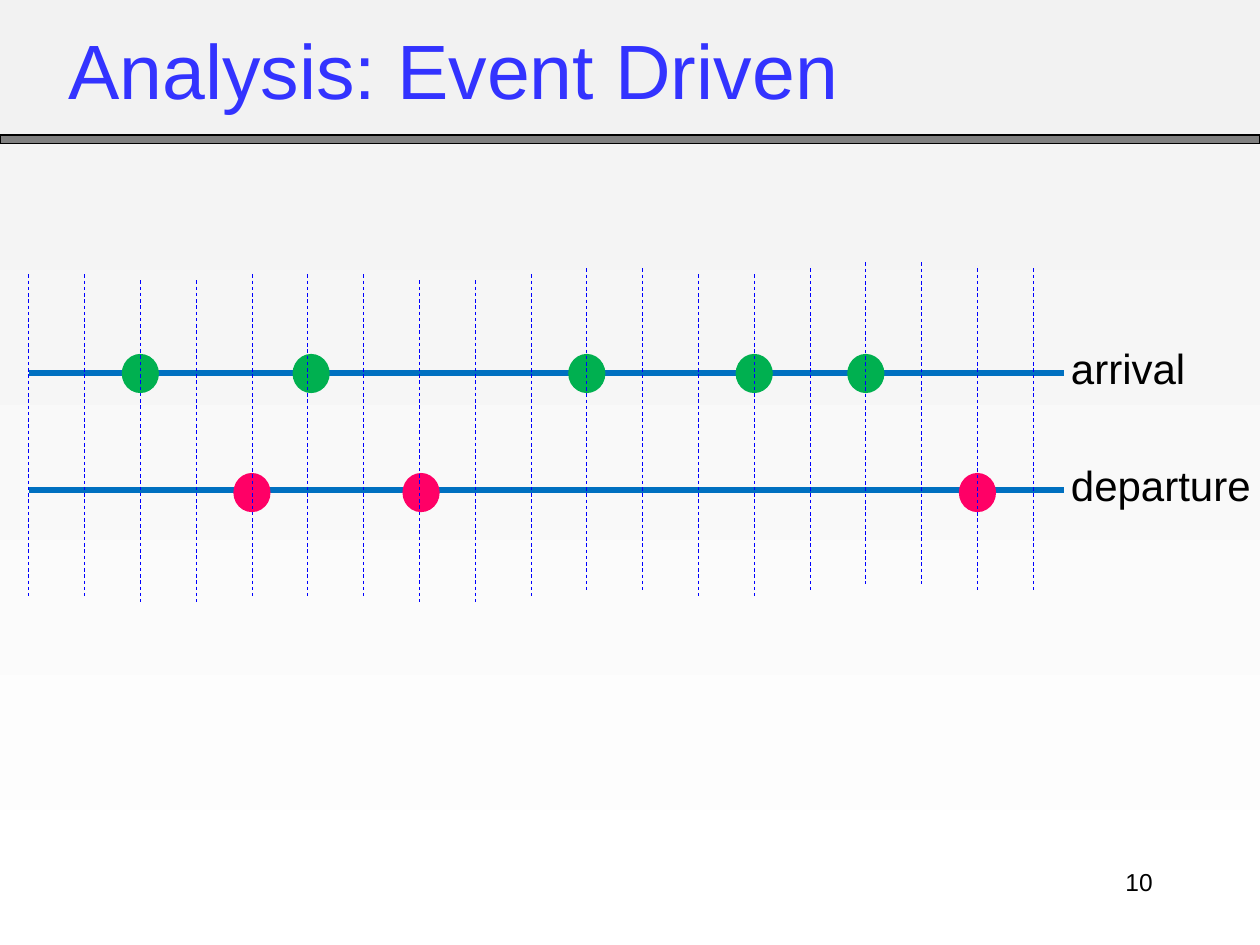
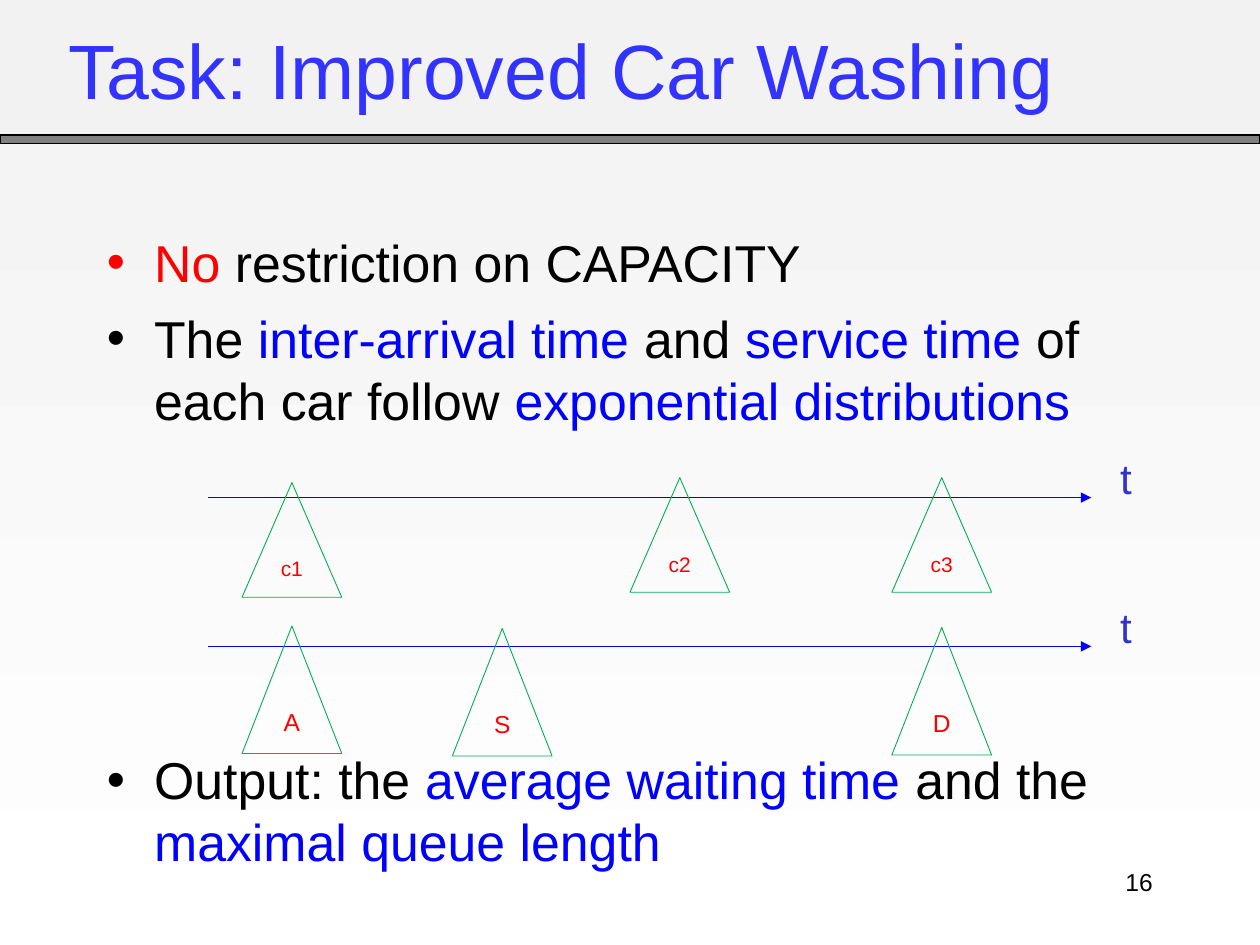
from dataclasses import dataclass
from typing import NamedTuple

from lxml.etree import SubElement
from pptx import Presentation
from pptx.dml.color import RGBColor
from pptx.enum.dml import MSO_LINE_DASH_STYLE as Dash
from pptx.enum.shapes import MSO_CONNECTOR as Connector, MSO_SHAPE as Preset
from pptx.enum.text import MSO_ANCHOR as Anchor, MSO_AUTO_SIZE as AutoSize, PP_ALIGN as Align
from pptx.oxml.ns import qn
from pptx.shapes.autoshape import Shape
from pptx.shapes.connector import Connector as Line
from pptx.slide import Slide
from pptx.util import Cm, Pt


@dataclass(frozen=True)
class Theme:
    font: str = "Arial"
    title: str = "3333FF"
    text: str = "000000"
    accent: str = "0000FF"
    alert: str = "FF0000"
    axis_label: str = "3333CC"
    band: str = "808080"
    lane: str = "0070C0"
    arrival: str = "00B050"
    departure: str = "FF0066"
    car: str = "00B050"
    sky: tuple[str, str] = ("F2F2F2", "FFFFFF")
    title_size: float = 44
    body_size: float = 29.6
    body_pitch: float = 35.4
    body_gap: float = 8
    label_size: float = 24
    number_size: float = 14


THEME = Theme()


class Box(NamedTuple):
    """Left, top, width and height in centimetres."""
    left: float
    top: float
    width: float
    height: float

    def lengths(self) -> list[Cm]:
        return [Cm(value) for value in self]


class Lane(NamedTuple):
    label: str
    y: float
    event_y: float
    color: str
    events: tuple[float, ...]  # positions counted in ticks


class Marker(NamedTuple):
    label: str
    left: float
    top: float


class Timeline(NamedTuple):
    y: float
    height: float
    size: float
    markers: tuple[Marker, ...]


class Bullet(NamedTuple):
    gap: float
    pieces: tuple[tuple[str, str], ...]


TITLE_BOX = Box(1.12, 0.25, 21.59, 2.26)
BODY_BOX = Box(1.9, 4.52, 21.59, 14.1)
NUMBER_BOX = Box(18.21, 17.35, 5.28, 1.27)
BAND_BOX = Box(0, 2.72, 25.4, 0.18)

LANE_START, LANE_END = 0.58, 21.44
LANES = (
    Lane("arrival", 7.52, 7.53, THEME.arrival, (2, 5.06, 10, 13, 15)),
    Lane("departure", 9.88, 9.93, THEME.departure, (4, 7.03, 17)),
)
EVENT_WIDTH, EVENT_HEIGHT = 0.75, 0.79

TICK_LEVELS = (2, 2, 3, 3, 2, 2, 2, 3, 3, 2, 1, 1, 2, 2, 1, 0, 0, 1, 1)
TICK_TOP, TICK_DROP, TICK_LENGTH = 5.29, 0.12, 6.49
TICK_GAP = (20.83 - LANE_START) / (len(TICK_LEVELS) - 1)

AXIS_START, AXIS_END = 4.19, 22
CAR_WIDTH = 2.01
TIMELINES = (
    Timeline(10.03, 2.31, 12, (Marker("c1", 4.88, 9.73), Marker("c2", 12.7, 9.63),
                               Marker("c3", 17.98, 9.63))),
    Timeline(13.03, 2.57, 14, (Marker("A", 4.88, 12.62), Marker("S", 9.12, 12.67),
                               Marker("D", 17.98, 12.65))),
)

BULLETS = (
    Bullet(THEME.body_gap, (("No", THEME.alert), (" restriction on CAPACITY", THEME.text))),
    Bullet(THEME.body_gap, (("The ", THEME.text), ("inter-arrival time ", THEME.accent),
                            ("and ", THEME.text), ("service time ", THEME.accent),
                            ("of each car follow ", THEME.text),
                            ("exponential distributions", THEME.accent))),
    Bullet(181.7, (("Output: the ", THEME.text), ("average waiting time ", THEME.accent),
                   ("and the ", THEME.text), ("maximal queue length", THEME.accent))),
)


def rgb(color: str) -> RGBColor:
    return RGBColor.from_string(color)


def style(run, size: float, color: str) -> None:
    run.font.name = THEME.font
    run.font.size = Pt(size)
    run.font.color.rgb = rgb(color)


def write(shape: Shape, text: str, size: float, color: str, align: Align = Align.LEFT) -> None:
    frame = shape.text_frame
    frame.text = text
    frame.word_wrap = True
    frame.auto_size = AutoSize.NONE
    paragraph = frame.paragraphs[0]
    paragraph.alignment = align
    style(paragraph.runs[0], size, color)


def place(shape: Shape, box: Box) -> None:
    shape.left, shape.top, shape.width, shape.height = box.lengths()


def add_label(slide: Slide, box: Box, text: str, size: float, color: str,
              align: Align = Align.LEFT) -> None:
    write(slide.shapes.add_textbox(*box.lengths()), text, size, color, align)


def add_preset(slide: Slide, preset: Preset, box: Box, fill: str | None = None,
               line: str | None = None, weight: float = 0.5) -> Shape:
    shape = slide.shapes.add_shape(preset, *box.lengths())
    shape.shadow.inherit = False
    if fill:
        shape.fill.solid()
        shape.fill.fore_color.rgb = rgb(fill)
    else:
        shape.fill.background()
    if line:
        shape.line.color.rgb = rgb(line)
        shape.line.width = Pt(weight)
    else:
        shape.line.fill.background()
    return shape


def add_line(slide: Slide, start: tuple[float, float], end: tuple[float, float],
             color: str, weight: float) -> Line:
    points = [Cm(value) for value in (*start, *end)]
    line = slide.shapes.add_connector(Connector.STRAIGHT, *points)
    line.line.color.rgb = rgb(color)
    line.line.width = Pt(weight)
    SubElement(line.element.spPr, qn("a:effectLst"))
    return line


def set_up_master(deck, slide: Slide) -> None:
    """Give the master its gradient and the band below the title."""
    master = deck.slide_master
    fill = master.background.fill
    fill.gradient()
    fill.gradient_angle = 270
    for stop, color in zip(fill.gradient_stops, THEME.sky):
        stop.color.rgb = rgb(color)
    band = add_preset(slide, Preset.RECTANGLE, BAND_BOX, THEME.band, THEME.text, 0.75)
    band.element.nvSpPr.cNvPr.set("id", "99")
    master.shapes[0].element.addprevious(band.element)


def add_slide(deck, layout: str, title: str, number: int) -> Slide:
    slide = deck.slides.add_slide(deck.slide_layouts.get_by_name(layout))
    heading = slide.shapes.title
    place(heading, TITLE_BOX)
    write(heading, title, THEME.title_size, THEME.title)
    heading.text_frame.vertical_anchor = Anchor.MIDDLE
    add_label(slide, NUMBER_BOX, str(number), THEME.number_size, THEME.text, Align.RIGHT)
    return slide


def draw_lanes(slide: Slide) -> None:
    for lane in LANES:
        add_line(slide, (LANE_START, lane.y), (LANE_END, lane.y), THEME.lane, 3)
        add_label(slide, Box(21.34, lane.y - 0.74, 5, 1.27), lane.label,
                  THEME.label_size, THEME.text)
    for lane in LANES:
        for tick in lane.events:
            left = LANE_START + tick * TICK_GAP - EVENT_WIDTH / 2
            top = lane.event_y - EVENT_HEIGHT / 2
            add_preset(slide, Preset.OVAL, Box(left, top, EVENT_WIDTH, EVENT_HEIGHT), lane.color)


def draw_ticks(slide: Slide) -> None:
    for tick, level in enumerate(TICK_LEVELS):
        x = LANE_START + tick * TICK_GAP
        top = TICK_TOP + level * TICK_DROP
        line = add_line(slide, (x, top), (x, top + TICK_LENGTH), THEME.accent, 0.5)
        line.line.dash_style = Dash.DASH


def fill_bullets(body: Shape) -> None:
    place(body, BODY_BOX)
    frame = body.text_frame
    frame.auto_size = AutoSize.NONE
    for index, bullet in enumerate(BULLETS):
        paragraph = frame.add_paragraph() if index else frame.paragraphs[0]
        paragraph.line_spacing = Pt(THEME.body_pitch)
        paragraph.space_before = Pt(bullet.gap)
        bullet_color = SubElement(paragraph._p.get_or_add_pPr(), qn("a:buClr"))
        SubElement(bullet_color, qn("a:srgbClr"), val=bullet.pieces[0][1])
        for text, color in bullet.pieces:
            run = paragraph.add_run()
            run.text = text
            style(run, THEME.body_size, color)


def draw_timeline(slide: Slide, timeline: Timeline) -> None:
    axis = add_line(slide, (AXIS_START, timeline.y), (AXIS_END, timeline.y), THEME.accent, 0.5)
    SubElement(axis.line._get_or_add_ln(), qn("a:tailEnd"), type="triangle")
    for marker in timeline.markers:
        box = Box(marker.left, marker.top, CAR_WIDTH, timeline.height)
        car = add_preset(slide, Preset.ISOSCELES_TRIANGLE, box, line=THEME.car)
        write(car, marker.label, timeline.size, THEME.alert, Align.CENTER)
        car.text_frame.vertical_anchor = Anchor.MIDDLE
    add_label(slide, Box(22.33, timeline.y - 1.03, 1.63, 1.27), "t",
              THEME.label_size, THEME.axis_label)


def main() -> None:
    deck = Presentation()
    deck.slide_width, deck.slide_height = Cm(25.4), Cm(19.05)

    analysis = add_slide(deck, "Title Only", "Analysis: Event Driven", 10)
    set_up_master(deck, analysis)
    draw_lanes(analysis)
    draw_ticks(analysis)

    task = add_slide(deck, "Title and Content", "Task: Improved Car Washing", 16)
    fill_bullets(task.placeholders[1])
    for timeline in TIMELINES:
        draw_timeline(task, timeline)

    deck.save("out.pptx")


if __name__ == "__main__":
    main()
